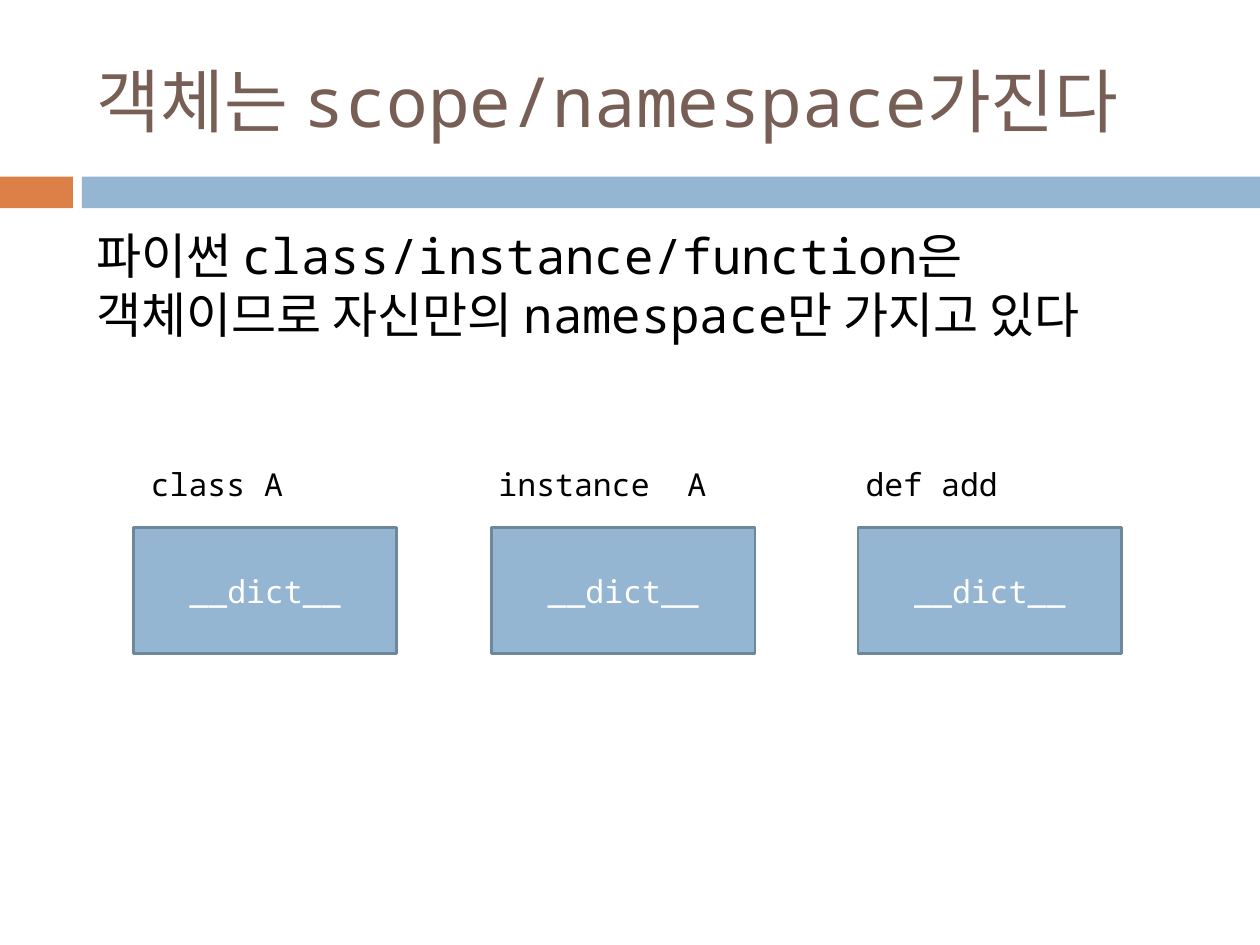
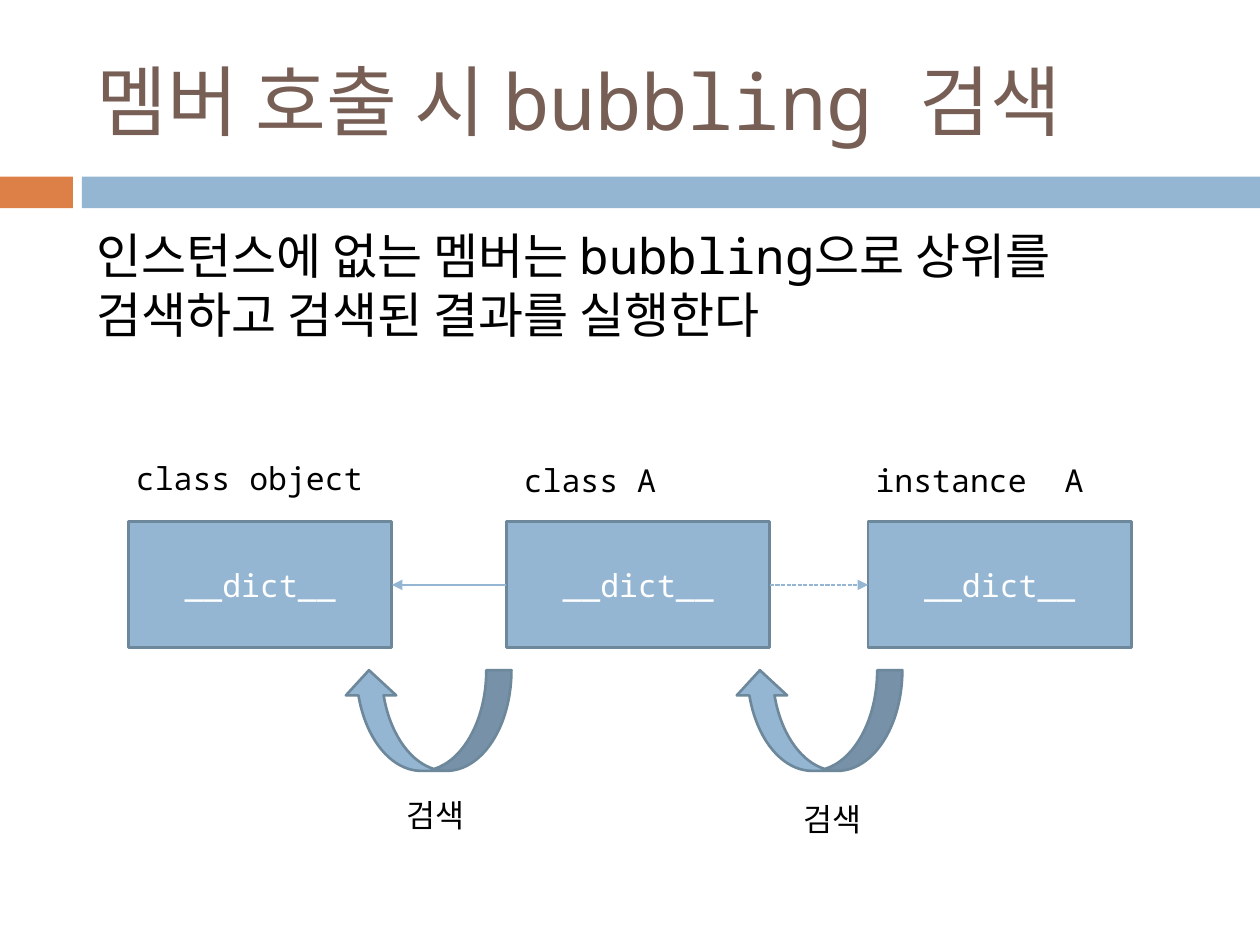
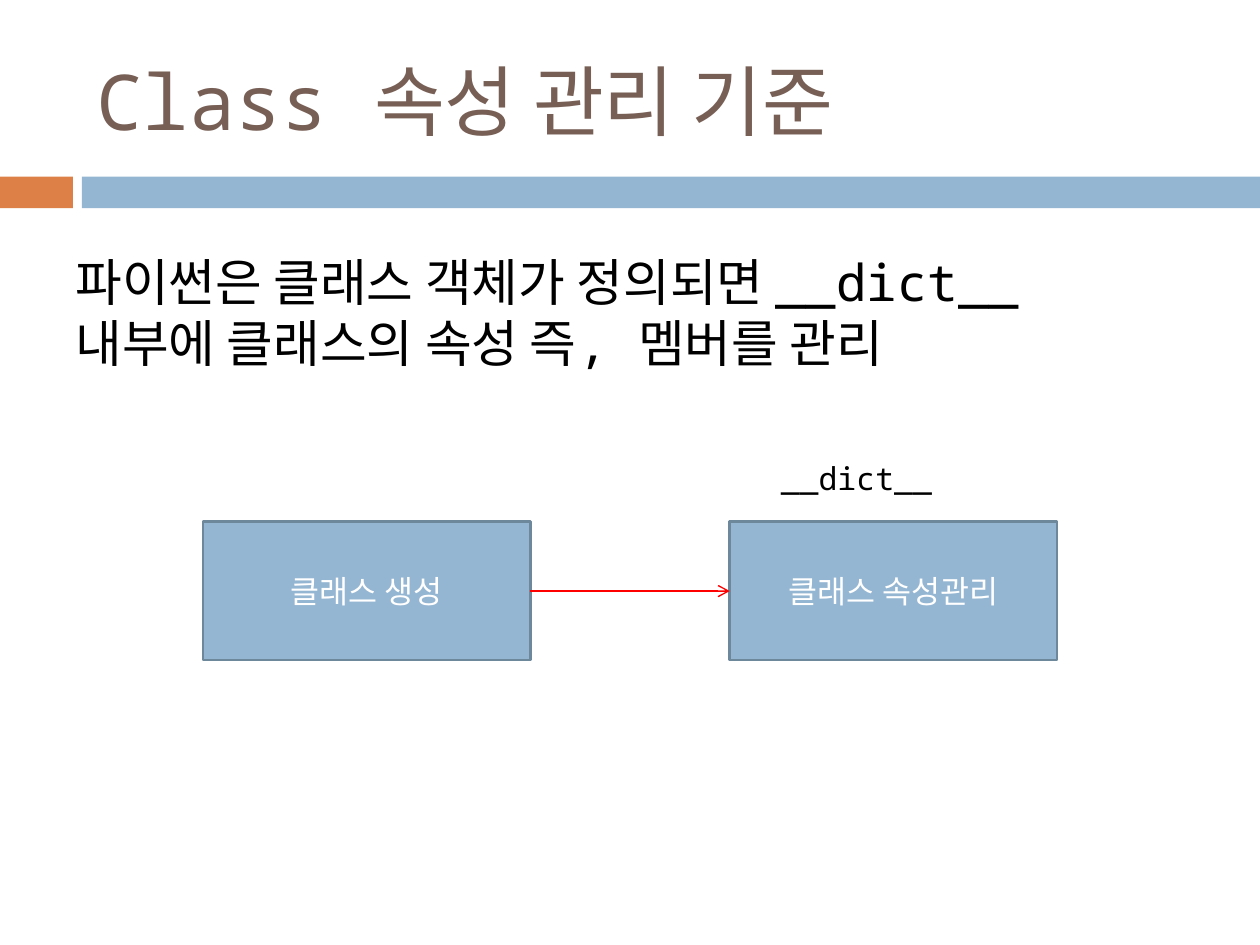
"""Build three slides on namespaces and attribute lookup in Python objects."""
import dataclasses

import lxml.etree
import pptx
import pptx.dml.color
import pptx.enum.dml
import pptx.enum.shapes
import pptx.enum.text
import pptx.oxml.ns
import pptx.util
from pptx.util import Cm

ALIGN = pptx.enum.text.PP_ALIGN
SHAPE = pptx.enum.shapes.MSO_SHAPE
LEFT_SITE, RIGHT_SITE = 1, 3


@dataclasses.dataclass(frozen=True)
class Theme:
    font: str = "Noto Sans Mono"
    title: str = "775F55"
    text: str = "000000"
    light: str = "FFFFFF"
    orange: str = "DD8047"
    blue: str = "94B6D2"
    outline: str = "6D879B"
    red: str = "FF0000"
    title_size: float = 44
    long_title_size: float = 39.6
    lead_size: float = 28
    body_size: float = 29
    label_size: float = 18
    outline_width: float = 1.5
    arrow_width: float = 0.79


THEME = Theme()


def rgb(value):
    return pptx.dml.color.RGBColor.from_string(value)


def write(shape, text, size, color, align=ALIGN.LEFT, middle=False):
    frame = shape.text_frame
    frame.word_wrap = True
    anchor = pptx.enum.text.MSO_ANCHOR
    frame.vertical_anchor = anchor.MIDDLE if middle else anchor.TOP
    para = frame.paragraphs[0]
    para.text = text
    para.alignment = align
    para.font.name = THEME.font
    para.font.size = pptx.util.Pt(size)
    para.font.color.rgb = rgb(color)
    return para


def add_filled(page, kind, left, top, width, height, fill, outline=None):
    shape = page.shapes.add_shape(kind, Cm(left), Cm(top), Cm(width), Cm(height))
    shape.shadow.inherit = False
    shape.fill.solid()
    shape.fill.fore_color.rgb = rgb(fill)
    if outline:
        shape.line.color.rgb = rgb(outline)
        shape.line.width = pptx.util.Pt(THEME.outline_width)
    else:
        shape.line.fill.background()
    return shape


def add_text(page, text, left, top, width, height, size, grow=True, **style):
    box = page.shapes.add_textbox(Cm(left), Cm(top), Cm(width), Cm(height))
    style.setdefault("color", THEME.text)
    para = write(box, text, size, **style)
    if grow:
        box.text_frame.auto_size = pptx.enum.text.MSO_AUTO_SIZE.SHAPE_TO_FIT_TEXT
    return para


def add_label(page, text, left, top, width=5.69, align=ALIGN.LEFT):
    add_text(page, text, left, top, width, 1.02, THEME.label_size, align=align)


def add_lead(page, text, height):
    add_text(page, text, 1.7, 4.42, 22.2, height, THEME.lead_size)


def add_node(page, text, left, top, width=5.31, height=2.54):
    node = add_filled(page, SHAPE.RECTANGLE, left, top, width, height,
                      THEME.blue, THEME.outline)
    write(node, text, THEME.label_size, THEME.light, ALIGN.CENTER, middle=True)
    return node


def add_arrow(page, start, start_site, end, end_site, color, head, dash=None):
    straight = pptx.enum.shapes.MSO_CONNECTOR.STRAIGHT
    arrow = page.shapes.add_connector(straight, 0, 0, 0, 0)
    arrow.begin_connect(start, start_site)
    arrow.end_connect(end, end_site)
    arrow.line.color.rgb = rgb(color)
    arrow.line.width = pptx.util.Pt(THEME.arrow_width)
    if dash:
        arrow.line.dash_style = dash
    qn = pptx.oxml.ns.qn
    properties = arrow.element.find(qn("p:spPr"))
    line = properties.find(qn("a:ln"))
    lxml.etree.SubElement(line, qn("a:tailEnd"), type=head)
    lxml.etree.SubElement(properties, qn("a:effectLst"))


def add_search(page, arrow_left, label_left, label_top):
    arrow = add_filled(page, SHAPE.CURVED_DOWN_ARROW, arrow_left, 13.51, 3.38, 2.03,
                       THEME.blue, THEME.outline)
    arrow.rotation = 180
    add_label(page, "검색", label_left, label_top, 4.57, ALIGN.CENTER)


def add_page(deck, title, size=THEME.title_size):
    page = deck.slides.add_slide(deck.slide_layouts[6])
    for left, width, color in ((0, 1.47, THEME.orange), (1.65, 23.75, THEME.blue)):
        add_filled(page, SHAPE.RECTANGLE, left, 3.56, width, 0.64, color)
    add_text(page, title, 1.7, 0.64, 22.66, 2.74, size, grow=False,
             color=THEME.title, middle=True)
    return page


def build_namespaces(deck):
    page = add_page(deck, "객체는 scope/namespace가진다", THEME.long_title_size)
    add_lead(page, "파이썬 class/instance/function은 객체이므로 "
                   "자신만의 namespace만 가지고 있다", 3.84)
    for name, node_left, label_left in (("class A", 2.69, 2.79),
                                        ("instance  A", 9.91, 9.8),
                                        ("def add", 17.3, 17.2)):
        add_node(page, "__dict__", node_left, 10.64)
        add_label(page, name, label_left, 9.25)


def build_bubbling(deck):
    page = add_page(deck, "멤버 호출 시 bubbling 검색")
    add_lead(page, "인스턴스에 없는 멤버는 bubbling으로 상위를 "
                   "검색하고 검색된 결과를 실행한다", 2.64)
    nodes = []
    for name, node_left, label_left, label_top in (
            ("class object", 2.59, 2.49, 9.12),
            ("class A", 10.21, 10.31, 9.17),
            ("instance  A", 17.5, 17.4, 9.17)):
        nodes.append(add_node(page, "__dict__", node_left, 10.52))
        add_label(page, name, label_left, label_top)
    base, derived, instance = nodes
    add_arrow(page, derived, LEFT_SITE, base, RIGHT_SITE, THEME.blue, "triangle")
    add_arrow(page, derived, RIGHT_SITE, instance, LEFT_SITE, THEME.blue, "triangle",
              pptx.enum.dml.MSO_LINE.SQUARE_DOT)
    add_search(page, 6.93, 6.5, 15.93)
    add_search(page, 14.81, 14.5, 16)


def build_attributes(deck):
    page = add_page(deck, "Class 속성 관리 기준")
    body = add_text(page, "파이썬은 클래스 객체가 정의되면 __dict__ "
                          "내부에 클래스의 속성 즉, 멤버를 관리",
                    1.27, 4.93, 22.86, 2.59, THEME.body_size, grow=False)
    body.space_before = pptx.util.Pt(7)
    created, managed = (add_node(page, text, left, 10.52, 6.6, 2.79)
                        for text, left in (("클래스 생성", 4.09),
                                           ("클래스 속성관리", 14.71)))
    add_label(page, "__dict__", 15.49, 9.12, 4.6)
    add_arrow(page, created, RIGHT_SITE, managed, LEFT_SITE, THEME.red, "arrow")


def main():
    deck = pptx.Presentation()
    deck.slide_width, deck.slide_height = Cm(25.4), Cm(19.05)
    build_namespaces(deck)
    build_bubbling(deck)
    build_attributes(deck)
    deck.save("out.pptx")


main()
